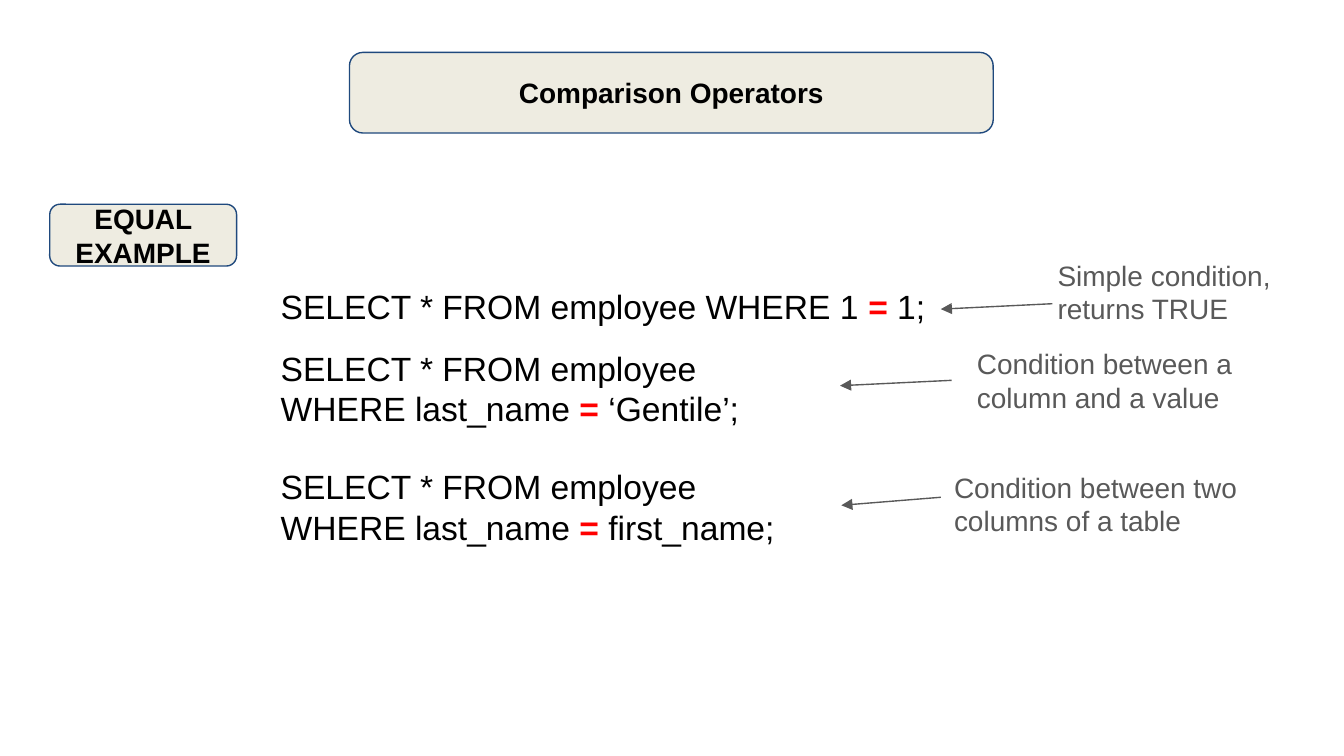
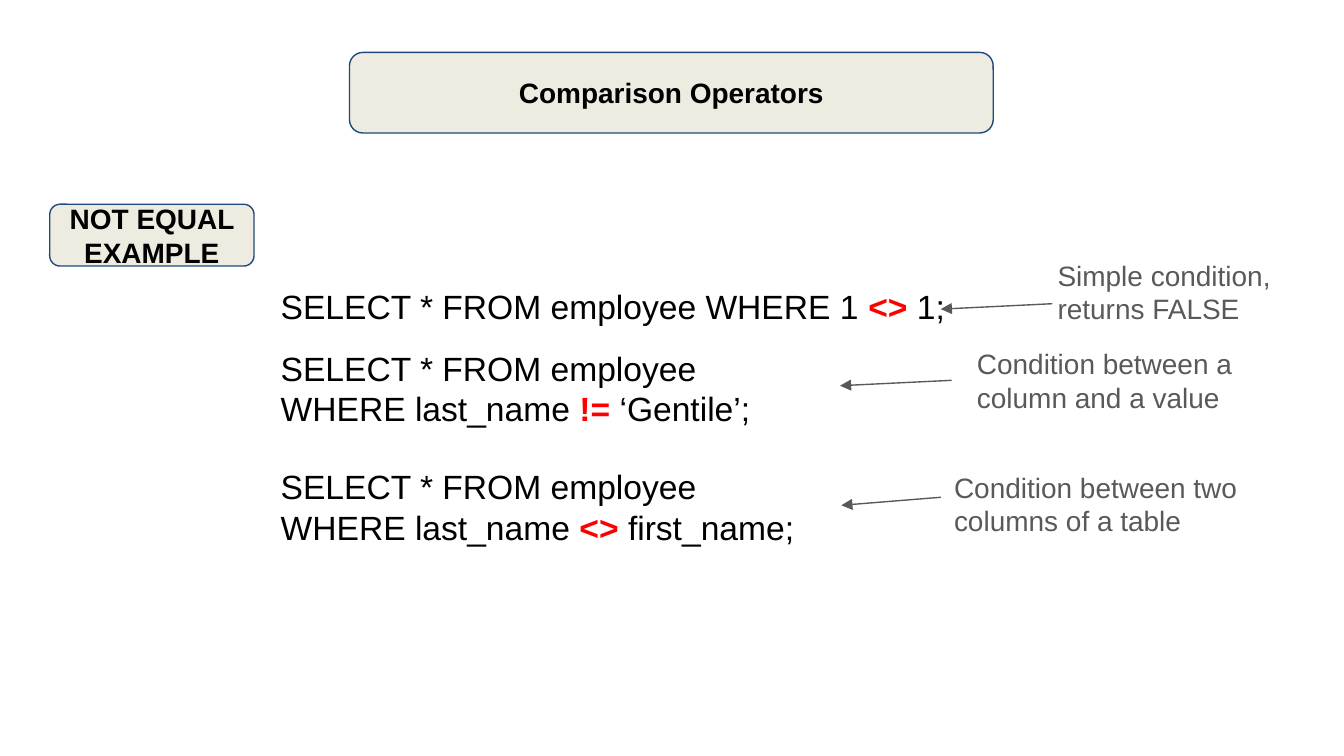
from lxml import etree
from pptx import Presentation
from pptx.dml.color import RGBColor
from pptx.enum import shapes, text
from pptx.oxml import ns
from pptx.util import Inches, Pt

BLACK = RGBColor(0x00, 0x00, 0x00)
RED = RGBColor(0xFF, 0x00, 0x00)
GRAY = RGBColor(0x59, 0x59, 0x59)
BEIGE = RGBColor(0xEE, 0xEC, 0xE1)
NAVY = RGBColor(0x1F, 0x49, 0x7D)

SLIDE_WIDTH = Inches(10)
SLIDE_HEIGHT = SLIDE_WIDTH * 9 // 16

HEADING = {"name": "Arial", "size": Pt(15), "bold": True}
CODE = {"name": "Arial", "size": Pt(18), "bold": False}
OPERATOR = {**CODE, "bold": True}
NOTE = {"name": "Arial", "size": Pt(15), "bold": False}
MARGINS = {f"margin_{side}": Inches(0.1) for side in ("left", "top", "right", "bottom")}

TITLE_BOX = (2.6, 0.39, 4.79, 0.6)
CODE_LEFT, CODE_HEIGHT = 1.99, 0.46
SELECT = "SELECT * FROM employee"
WHERE = "WHERE last_name "
NOTE_BOXES = [(7.77, 1.82, 1.81, 0.29), (7.17, 2.48, 2.65, 0.6), (7, 3.4, 2.81, 0.6)]
ARROWS = [(7.83, 2.26, 7, 2.3), (7.08, 2.83, 6.25, 2.87), (7, 3.7, 6.26, 3.76)]

EXAMPLES = [
    {"label": "EQUAL EXAMPLE", "label_width": 1.39, "code_width": 5.11,
     "operators": ("=", "=", "="), "result": "TRUE"},
    {"label": "NOT EQUAL EXAMPLE", "label_width": 1.52, "code_width": 5.25,
     "operators": ("<>", "!=", "<>"), "result": "FALSE"},
]


def set_attributes(target, values):
    """Set each named attribute of the target."""
    for name, value in values.items():
        setattr(target, name, value)


def add_run(paragraph, wording, font, color):
    """Append a formatted run to a paragraph."""
    run = paragraph.add_run()
    run.text = wording
    set_attributes(run.font, font)
    run.font.color.rgb = color


def prepare_frame(shape, anchor):
    """Give a shape's text frame the common margins, wrapping and anchor."""
    frame = shape.text_frame
    set_attributes(frame, {**MARGINS, "word_wrap": True, "vertical_anchor": anchor,
                           "auto_size": text.MSO_AUTO_SIZE.NONE})
    return frame


def write_heading(shape, wording):
    """Write bold centred text in a shape."""
    paragraph = prepare_frame(shape, text.MSO_ANCHOR.MIDDLE).paragraphs[0]
    paragraph.alignment = text.PP_ALIGN.CENTER
    add_run(paragraph, wording, HEADING, BLACK)


def add_panel(slide, box):
    """Add a beige rounded panel with a navy outline."""
    panel = slide.shapes.add_shape(shapes.MSO_SHAPE.ROUNDED_RECTANGLE, *map(Inches, box))
    panel.shadow.inherit = False
    panel.fill.solid()
    panel.fill.fore_color.rgb = BEIGE
    panel.line.color.rgb = NAVY
    panel.line.width = Pt(0.75)
    return panel


def add_title(slide, wording):
    """Place the slide title on its panel."""
    title = slide.shapes.title
    set_attributes(title, dict(zip(("left", "top", "width", "height"), map(Inches, TITLE_BOX))))
    write_heading(title, wording)
    title.element.addprevious(add_panel(slide, TITLE_BOX).element)


def add_text_box(slide, box):
    """Add a text box and return it with its text frame."""
    box_shape = slide.shapes.add_textbox(*map(Inches, box))
    return box_shape, prepare_frame(box_shape, text.MSO_ANCHOR.TOP)


def add_statement(slide, top, width, lines):
    """Add an SQL statement whose lines are (before, operator, after)."""
    _, frame = add_text_box(slide, (CODE_LEFT, top, width, CODE_HEIGHT))
    for index, (before, operator, after) in enumerate(lines):
        paragraph = frame.add_paragraph() if index else frame.paragraphs[0]
        add_run(paragraph, before, CODE, BLACK)
        if operator:
            add_run(paragraph, operator, OPERATOR, RED)
            add_run(paragraph, after, CODE, BLACK)


def add_note(slide, box, wording):
    """Add a gray explanatory note."""
    note, frame = add_text_box(slide, box)
    add_run(frame.paragraphs[0], wording, NOTE, GRAY)
    return note


def add_arrow(slide, ends):
    """Add a thin gray arrow from a note to its statement."""
    arrow = slide.shapes.add_connector(shapes.MSO_CONNECTOR.STRAIGHT, *map(Inches, ends))
    arrow.line.color.rgb = GRAY
    arrow.line.width = Pt(0.75)
    properties = arrow.element.spPr
    etree.SubElement(properties.find(ns.qn("a:ln")), ns.qn("a:tailEnd"), type="triangle")
    etree.SubElement(properties, ns.qn("a:effectLst"))
    return arrow


def add_example(deck, label, label_width, code_width, operators, result):
    """Build one slide of operator examples."""
    slide = deck.slides.add_slide(deck.slide_layouts.get_by_name("Title Only"))
    add_title(slide, "Comparison Operators")
    write_heading(add_panel(slide, (0.37, 1.52, label_width, 0.46)), label)

    simple, value, column = operators
    select_line = (SELECT, "", "")
    add_statement(slide, 2.03, code_width, [(SELECT + " WHERE 1 ", simple, " 1;")])
    add_statement(slide, 2.49, 5.11, [select_line, (WHERE, value, " ‘Gentile’;")])
    add_statement(slide, 3.37, 5.11, [select_line, (WHERE, column, " first_name;")])

    wordings = (f"Simple condition, returns {result}",
                "Condition between a column and a value",
                "Condition between two columns of a table")
    notes = [add_note(slide, box, wording) for box, wording in zip(NOTE_BOXES, wordings)]
    arrows = [add_arrow(slide, ends) for ends in ARROWS]
    arrows[-1].begin_connect(notes[-1], 1)


def main():
    """Build and save the presentation."""
    deck = Presentation()
    deck.slide_width, deck.slide_height = SLIDE_WIDTH, SLIDE_HEIGHT
    for example in EXAMPLES:
        add_example(deck, **example)
    deck.save("out.pptx")


if __name__ == "__main__":
    main()
